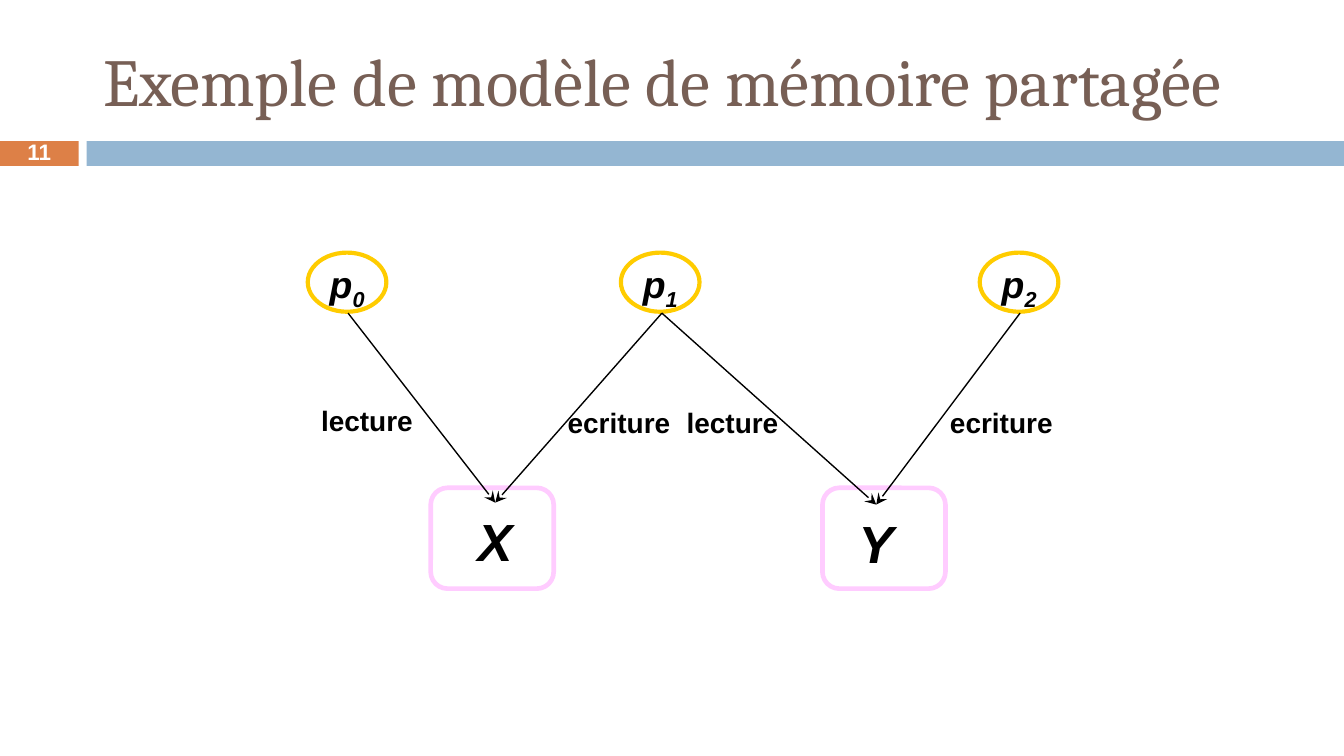
from typing import NamedTuple

from lxml.etree import SubElement
from pptx import Presentation
from pptx.dml.color import RGBColor
from pptx.enum.shapes import MSO_CONNECTOR as Connector, MSO_SHAPE as Preset
from pptx.enum.text import MSO_ANCHOR as Anchor, PP_ALIGN as Align
from pptx.oxml.ns import qn
from pptx.util import Pt

PX = 4572  # 200 px to the inch
COLORS = {
    "orange": "DD8047",
    "blue": "94B6D2",
    "brown": "775F55",
    "white": "FFFFFF",
    "black": "000000",
    "gold": "FFCC00",
    "pink": "FFCCFF",
}


class Box(NamedTuple):
    left: int
    top: int
    width: int
    height: int


class Style(NamedTuple):
    size: int
    color: str = "black"
    font: str = "Arial"
    bold: bool = True
    italic: bool = False


class Variable(NamedTuple):
    name: str
    frame_left: int
    text_box: Box


class Access(NamedTuple):
    label: str
    label_box: Box
    start: tuple[int, int]
    end: tuple[int, int]


TITLE = Style(36, "brown", "Cambria", bold=False)
NUMBER = Style(12, "white")
PROCESS = Style(20, italic=True)
VARIABLE = Style(28, italic=True)
ACCESS = Style(15)

PROCESS_LEFTS = [458, 924, 1458]
VARIABLES = [
    Variable("X", 641, Box(691, 748, 92, 114)),
    Variable("Y", 1224, Box(1258, 751, 92, 114)),
]
ACCESSES = [
    Access("lecture", Box(458, 591, 184, 70), (518, 466), (737, 748)),
    Access("ecriture", Box(825, 594, 200, 70), (985, 466), (737, 748)),
    Access("lecture", Box(1002, 594, 184, 70), (985, 466), (1304, 751)),
    Access("ecriture", Box(1394, 594, 200, 70), (1518, 466), (1304, 751)),
]


def rgb(color: str) -> RGBColor:
    return RGBColor.from_string(COLORS[color])


def emu(lengths: tuple[int, ...]) -> list[int]:
    return [length * PX for length in lengths]


def add_bar(page, box: Box, color: str) -> None:
    bar = page.shapes.add_shape(Preset.RECTANGLE, *emu(box))
    bar.shadow.inherit = False
    bar.fill.solid()
    bar.fill.fore_color.rgb = rgb(color)
    bar.line.fill.background()


def add_outline(page, preset: Preset, box: Box, color: str, weight: float) -> None:
    outline = page.shapes.add_shape(preset, *emu(box))
    outline.shadow.inherit = False
    outline.fill.background()
    outline.line.color.rgb = rgb(color)
    outline.line.width = Pt(weight)


def add_text(page, box: Box, text: str, style: Style,
             anchor: Anchor = Anchor.TOP, wrap: bool = False):
    """Add a one-paragraph text box and return its paragraph."""
    frame = page.shapes.add_textbox(*emu(box)).text_frame
    frame.word_wrap = wrap
    frame.vertical_anchor = anchor
    para = frame.paragraphs[0]
    para.add_run().text = text
    font = para.font
    font.name, font.size = style.font, Pt(style.size)
    font.bold, font.italic = style.bold, style.italic
    font.color.rgb = rgb(style.color)
    return para


def add_process(page, index: int, left: int) -> None:
    add_outline(page, Preset.OVAL, Box(left, 376, 117, 88), "gold", 2.25)
    para = add_text(page, Box(left + 13, 379, 94, 88), "p", PROCESS)
    subscript = para.add_run()
    subscript.text = str(index)
    subscript.font._element.set("baseline", "-25000")


def add_variable(page, variable: Variable) -> None:
    frame_box = Box(variable.frame_left, 726, 183, 150)
    add_outline(page, Preset.ROUNDED_RECTANGLE, frame_box, "pink", 2.5)
    add_text(page, variable.text_box, variable.name, VARIABLE)


def add_access(page, access: Access) -> None:
    arrow = page.shapes.add_connector(
        Connector.STRAIGHT, *emu(access.start + access.end))
    arrow.line.color.rgb = rgb("black")
    arrow.line.width = Pt(0.75)
    properties = arrow._element.spPr
    SubElement(properties.find(qn("a:ln")), qn("a:tailEnd"), type="stealth")
    SubElement(properties, qn("a:effectLst"))
    add_text(page, access.label_box, access.label, ACCESS)


def main() -> None:
    deck = Presentation()
    deck.slide_width, deck.slide_height = emu((2000, 1125))
    page = deck.slides.add_slide(deck.slide_layouts[6])

    # Header: bars, title and slide number
    add_bar(page, Box(0, 210, 117, 37), "orange")
    add_bar(page, Box(129, 210, 1871, 37), "blue")
    add_text(page, Box(134, 38, 1784, 162), "Exemple de modèle de mémoire partagée",
             TITLE, Anchor.MIDDLE, wrap=True)
    number = add_text(page, Box(0, 209, 117, 40), "11", NUMBER, Anchor.MIDDLE, wrap=True)
    number.alignment = Align.CENTER
    number.line_spacing = 0.8

    # Processes, shared variables and the accesses between them
    for index, left in enumerate(PROCESS_LEFTS):
        add_process(page, index, left)
    for variable in VARIABLES:
        add_variable(page, variable)
    for access in ACCESSES:
        add_access(page, access)

    deck.save("out.pptx")


if __name__ == "__main__":
    main()
